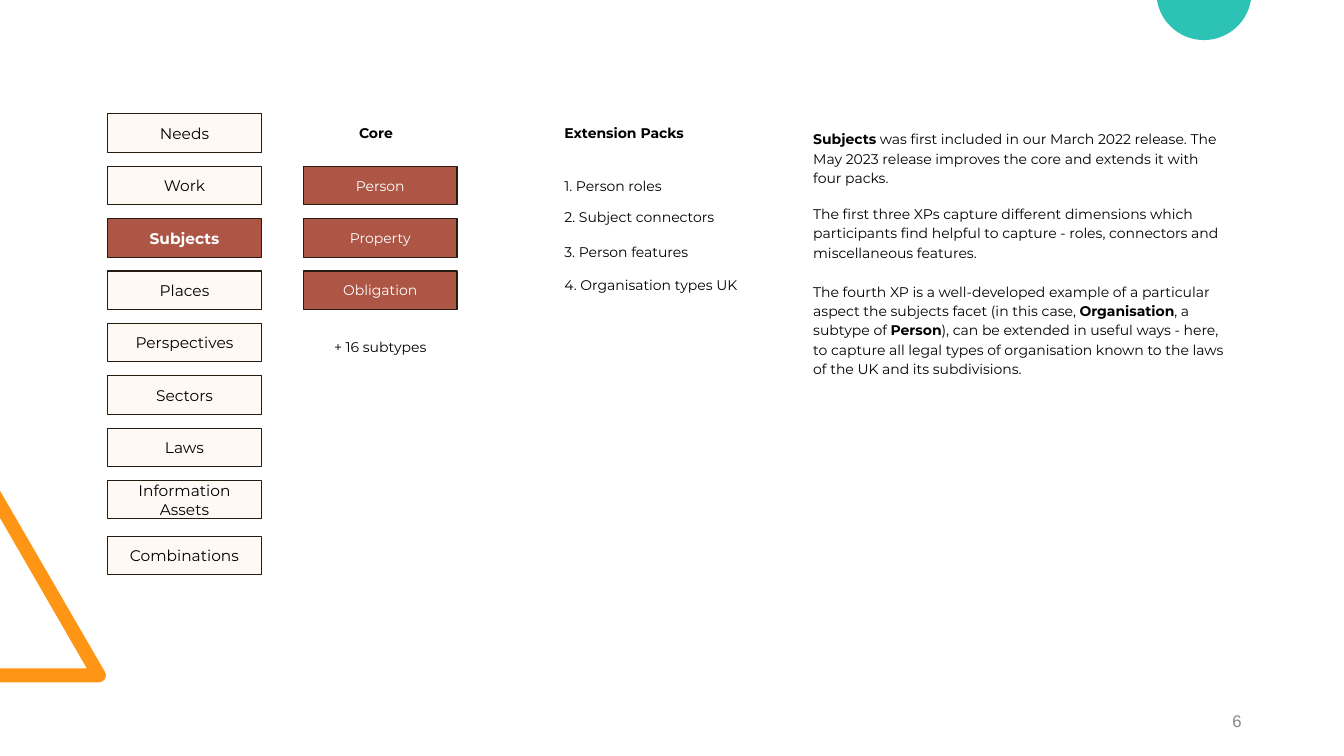
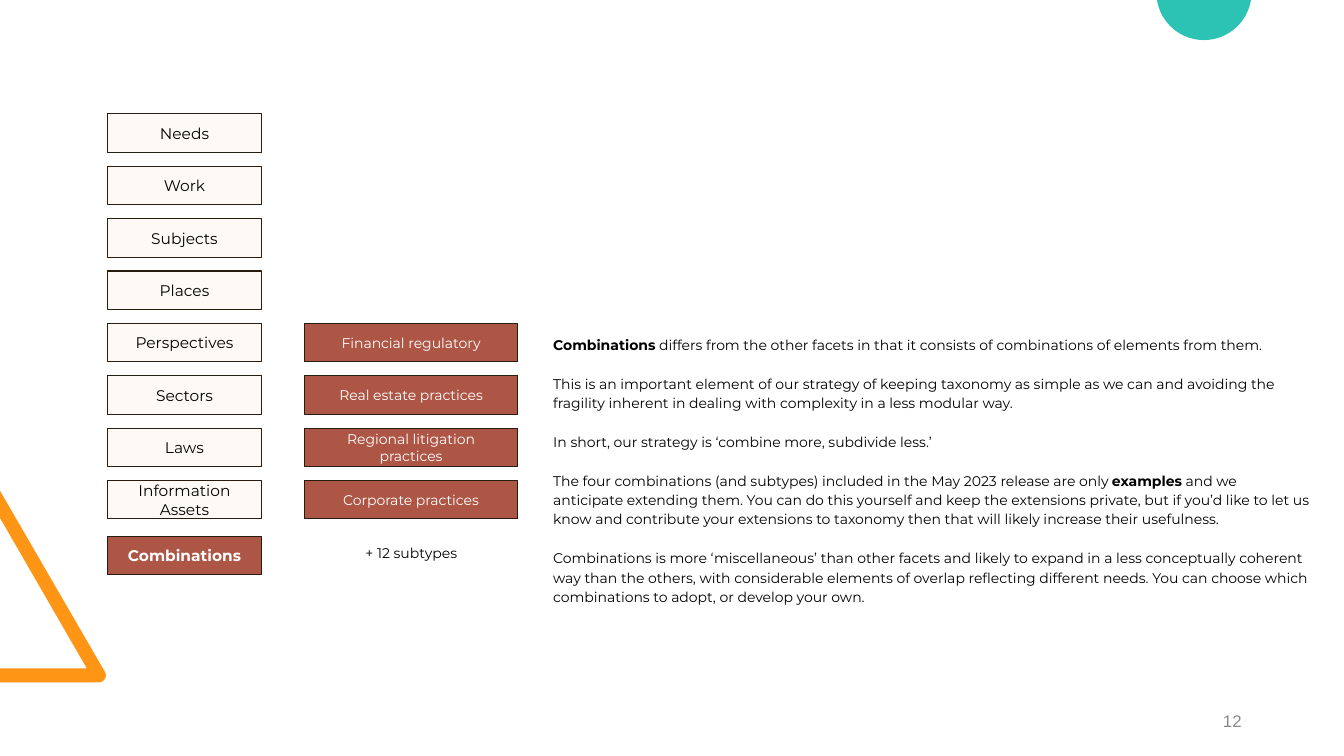
import math
import pptx
import pptx.util
import pptx.dml.color
import pptx.enum.shapes
import pptx.enum.text

Pt = pptx.util.Pt
RGBColor = pptx.dml.color.RGBColor
ALIGN = pptx.enum.text.PP_ALIGN
ANCHOR = pptx.enum.text.MSO_ANCHOR
RECT = pptx.enum.shapes.MSO_SHAPE.RECTANGLE

# Shared style
BLACK = RGBColor(0x00, 0x00, 0x00)
WHITE = RGBColor(0xFF, 0xFF, 0xFF)
GREY = RGBColor(0x88, 0x88, 0x88)
CREAM = RGBColor(0xFF, 0xF9, 0xF5)
RUST = RGBColor(0xAD, 0x56, 0x46)
EDGE = RGBColor(0x28, 0x1B, 0x10)
ORANGE = RGBColor(0xFF, 0x95, 0x14)
TEAL = RGBColor(0x2C, 0xC3, 0xB4)
FONT = "Montserrat"

# Shared grid, in points
TOP, PITCH, HIGH = 81.4, 37.4, 27.5
FACETS = ["Needs", "Work", "Subjects", "Places", "Perspectives", "Sectors",
          "Laws", "Information Assets", "Combinations"]


def row(index):
    """Top of a grid row; the last one sits a little lower."""
    return TOP + index * PITCH + (2.3 if index == len(FACETS) - 1 else 0)


def write(shape, *paras, size=10, color=BLACK, font=FONT, bold=False,
          align=ALIGN.CENTER, anchor=ANCHOR.MIDDLE, lead=None, gaps=()):
    """Fill a shape with paragraphs; ** switches bold on and off."""
    frame = shape.text_frame
    frame.word_wrap = True
    frame.vertical_anchor = anchor
    frame.margin_left = frame.margin_right = Pt(7.2)
    frame.margin_top = frame.margin_bottom = Pt(7.2)
    for i, words in enumerate(paras):
        para = frame.paragraphs[0] if i == 0 else frame.add_paragraph()
        para.alignment = align
        if lead:
            para.line_spacing = lead
        if i and gaps:
            para.space_before = Pt(gaps[i - 1])
        for j, part in enumerate(words.split("**")):
            if part:
                run = para.add_run()
                run.text = part
                run.font.name = font
                run.font.size = Pt(size)
                run.font.bold = bold or j % 2 == 1
                run.font.color.rgb = color


def label(slide, box, *paras, **style):
    """Text with no frame, in a box of left, top, width, height."""
    write(slide.shapes.add_textbox(*map(Pt, box)), *paras, **style)


def card(slide, box, words, fill=RUST, **style):
    shape = slide.shapes.add_shape(RECT, *map(Pt, box))
    shape.shadow.inherit = False
    shape.fill.solid()
    shape.fill.fore_color.rgb = fill
    shape.line.color.rgb = EDGE
    shape.line.width = Pt(0.75)
    write(shape, words, **style)


def arc(x, y, radius, start, stop, steps=40):
    """Points along an arc, angles in degrees, clockwise on the slide."""
    turns = [math.radians(start + (stop - start) * i / steps)
             for i in range(steps + 1)]
    return [(x + radius * math.cos(t), y + radius * math.sin(t)) for t in turns]


def outline(slide, points, fill):
    spots = [(Pt(x), Pt(y)) for x, y in points]
    build = slide.shapes.build_freeform(*spots[0], scale=1.0)
    build.add_line_segments(spots[1:], close=True)
    shape = build.convert_to_shape()
    shape.shadow.inherit = False
    shape.fill.solid()
    shape.fill.fore_color.rgb = fill
    shape.line.fill.background()


def decor(slide, number):
    """Triangle, disc and page number."""
    corner = arc(70.6, 482.4, 5, -30, 90)
    outline(slide, [(0, 350.6)] + corner
            + [(0, 487.4), (0, 477.4), (62, 477.4), (0, 370)], ORANGE)
    radius, drop = 34, 5.4
    tilt = math.degrees(math.asin(drop / radius))
    outline(slide, arc(860, -drop, radius, tilt, 180 - tilt), TEAL)
    label(slide, (678, 500.4, 216, 28.8), str(number), size=12, color=GREY,
          font="Arial", align=ALIGN.RIGHT)


def facets(slide, left, width, active):
    """Column of all facets, with the active one marked."""
    for i, name in enumerate(FACETS):
        on = name == active
        card(slide, (left, row(i), width, HIGH), name, size=11, bold=on,
             fill=RUST if on else CREAM, color=WHITE if on else BLACK)


def cards(slide, left, width, first, names):
    """Column of rust cards from the given grid row down."""
    for i, name in enumerate(names, first):
        card(slide, (left, row(i), width, HIGH), name, color=WHITE)


def packs(slide, left, top, names):
    """Heading and numbered list of extension packs."""
    label(slide, (left - 5, top, 109.5, HIGH), "Extension Packs", bold=True)
    drops = [37.4, 59.7, 84.9, 108.7]
    for i, (name, drop) in enumerate(zip(names, drops), 1):
        label(slide, (left, top + drop, 148, HIGH), f"{i}. {name}",
              align=ALIGN.LEFT)


def story(slide, box, paras, gaps):
    label(slide, box, *paras, align=ALIGN.LEFT, anchor=ANCHOR.TOP,
          lead=1.15, gaps=gaps)


def page(deck, number, active):
    """New slide with everything the slides share."""
    slide = deck.slides.add_slide(deck.slide_layouts[6])
    decor(slide, number)
    facets(slide, 77, 109.7, active)
    return slide


def subjects(deck):
    slide = page(deck, 6, "Subjects")
    label(slide, (213.8, TOP, 109.5, HIGH), "Core", bold=True)
    cards(slide, 216.8, 109.7, 1, ["Person", "Property", "Obligation"])
    label(slide, (216.8, 234, 109.5, HIGH), "+ 16 subtypes")
    packs(slide, 396, TOP, ["Person roles", "Subject connectors",
                            "Person features", "Organisation types UK"])
    story(slide, (573.8, 84.4, 310.3, 200), [
        "**Subjects** was first included in our March 2022 release. The May "
        "2023 release improves the core and extends it with four packs.",
        "The first three XPs capture different dimensions which participants "
        "find helpful to capture - roles, connectors and miscellaneous "
        "features.",
        "The fourth XP is a well-developed example of a particular aspect the "
        "subjects facet (in this case, **Organisation**, a subtype of "
        "**Person**), can be extended in useful ways - here, to capture all "
        "legal types of organisation known to the laws of the UK and its "
        "subdivisions."], gaps=[12, 14])


def combos(deck):
    slide = page(deck, 12, "Combinations")
    cards(slide, 217.3, 152.6, 4, [
        "Financial regulatory", "Real estate practices",
        "Regional litigation practices", "Corporate practices"])
    label(slide, (209.5, row(8), 168.5, HIGH), "+ 12 subtypes",
          anchor=ANCHOR.TOP)
    story(slide, (388.1, 231.1, 554.4, 216.7), [
        "**Combinations** differs from the other facets in that it consists "
        "of combinations of elements from them.",
        "This is an important element of our strategy of keeping taxonomy as "
        "simple as we can and avoiding the fragility inherent in dealing with "
        "complexity in a less modular way.",
        "In short, our strategy is ‘combine more, subdivide less.’",
        "The four combinations (and subtypes) included in the May 2023 "
        "release are only **examples** and we anticipate extending them. You "
        "can do this yourself and keep the extensions private, but if you’d "
        "like to let us know and contribute your extensions to taxonomy then "
        "that will likely increase their usefulness.",
        "Combinations is more ‘miscellaneous’ than other facets and likely to "
        "expand in a less conceptually coherent way than the others, with "
        "considerable elements of overlap reflecting different needs. You can "
        "choose which combinations to adopt, or develop your own."],
        gaps=[14] * 4)


def main():
    deck = pptx.Presentation()
    deck.slide_width, deck.slide_height = Pt(960), Pt(540)
    subjects(deck)
    combos(deck)
    deck.save("out.pptx")


if __name__ == "__main__":
    main()
